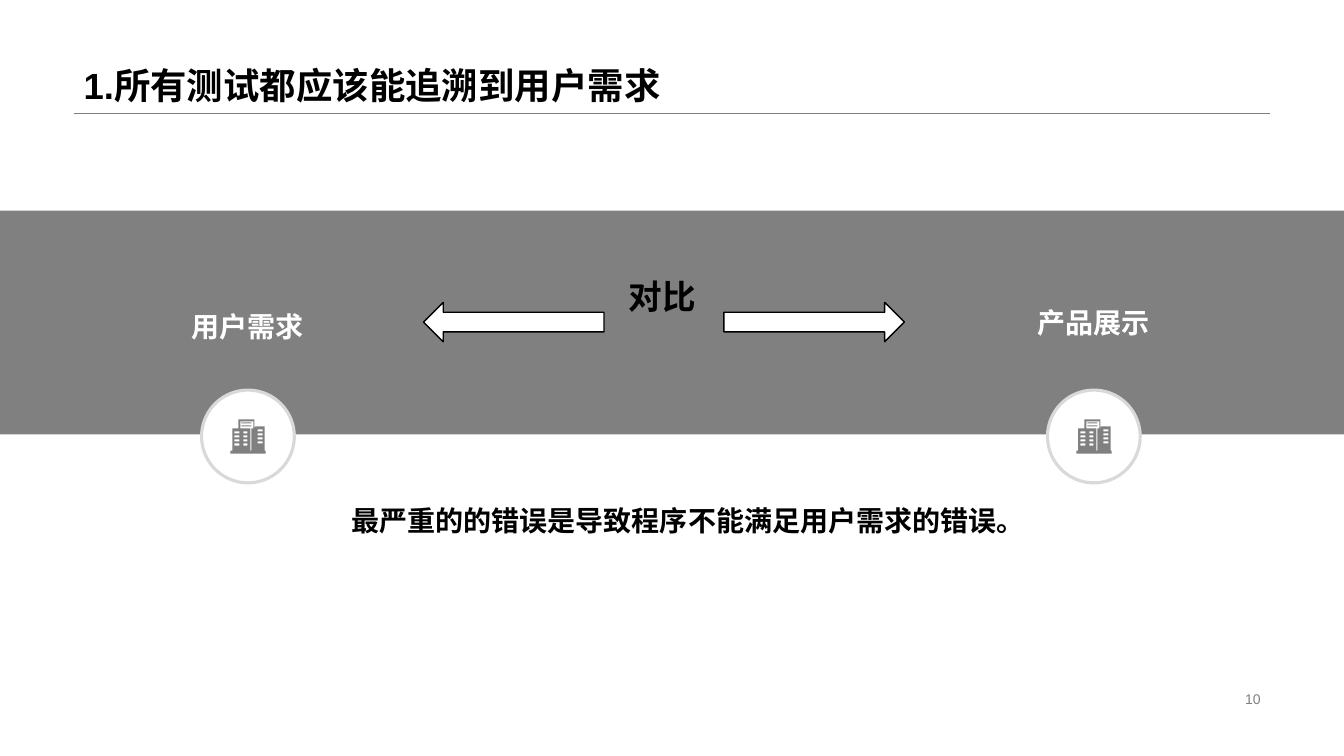
import pptx
import pptx.util
import pptx.dml.color
import pptx.enum.shapes
import pptx.enum.text
import pptx.oxml.ns
import lxml.etree

BLACK = pptx.dml.color.RGBColor(0x00, 0x00, 0x00)
WHITE = pptx.dml.color.RGBColor(0xFF, 0xFF, 0xFF)
GRAY = pptx.dml.color.RGBColor(0x80, 0x80, 0x80)
RING = pptx.dml.color.RGBColor(0xD9, 0xD9, 0xD9)

SHAPE = pptx.enum.shapes.MSO_SHAPE
ALIGN = pptx.enum.text.PP_ALIGN
ANCHOR = pptx.enum.text.MSO_ANCHOR

SLIDE_WIDTH = pptx.util.Inches(13.33)
SLIDE_HEIGHT = pptx.util.Inches(7.5)

# Building icon, in hundredths of an inch
ICON_UNIT = pptx.util.Inches(0.01)
ICON_WIDTH, ICON_HEIGHT = 35, 34
FACADE = [(8, 0), (24, 0), (24, 8), (25, 7), (34, 7), (34, 31), (35, 31),
          (35, 34), (0, 34), (0, 31), (2, 31), (2, 9), (8, 9)]
ROOF_SIGN = [(10, 2), (10, 9), (20, 9), (20, 31), (21, 31), (21, 9), (23, 9), (23, 2)]
SIGN_LINES = [(11, 3, 10, 1), (11, 6, 10, 1)]
WINDOWS = [(left, top + 4 * floor, width, 2)
           for left, top, width in ((4, 12, 5), (13, 12, 4), (27, 10, 5))
           for floor in range(4)]


def across(percent):
    return round(SLIDE_WIDTH * percent / 100)


def down(percent):
    return round(SLIDE_HEIGHT * percent / 100)


def place(left, top, width, height):
    """Turn percentages of the slide into a position and size."""
    return across(left), down(top), across(width), down(height)


def format_text(shape, text, size, color, bold=True, align=ALIGN.LEFT,
                anchor=ANCHOR.TOP, wrap=True):
    frame = shape.text_frame
    frame.text = text
    frame.word_wrap = wrap
    frame.auto_size = pptx.enum.text.MSO_AUTO_SIZE.NONE
    frame.vertical_anchor = anchor
    para = frame.paragraphs[0]
    para.alignment = align
    font = para.runs[0].font
    font.name = "Arial"
    font.size = pptx.util.Pt(size)
    font.bold = bold
    font.color.rgb = color


def add_title(page, text):
    title = page.shapes.title
    title.left, title.top, title.width, title.height = place(5.48, 0, 89.05, 14.93)
    format_text(title, text, 26, BLACK, anchor=ANCHOR.BOTTOM)
    title.text_frame.paragraphs[0].line_spacing = 0.9


def add_rule(page):
    rule = page.shapes.add_connector(
        pptx.enum.shapes.MSO_CONNECTOR.STRAIGHT,
        across(5.48), down(14.93), across(94.52), down(14.93))
    rule.line.color.rgb = GRAY
    rule.line.width = pptx.util.Pt(0.25)
    properties = rule._element.spPr
    lxml.etree.SubElement(properties, pptx.oxml.ns.qn("a:effectLst"))


def add_text(page, area, text, size, color, **style):
    box = page.shapes.add_textbox(*place(*area))
    format_text(box, text, size, color, **style)


def paint(shape, fill, line=None, width=1):
    shape.shadow.inherit = False
    shape.fill.solid()
    shape.fill.fore_color.rgb = fill
    if line is None:
        shape.line.fill.background()
    else:
        shape.line.color.rgb = line
        shape.line.width = pptx.util.Pt(width)


def add_figure(page, kind, area, fill, line=None, width=1):
    figure = page.shapes.add_shape(kind, *place(*area))
    paint(figure, fill, line, width)
    return figure


def rectangle(left, top, width, height):
    right, bottom = left + width, top + height
    return [(left, top), (left, bottom), (right, bottom), (right, top)]


def add_building_badge(page, left):
    """Add a ringed circle with a building icon at its centre."""
    badge = add_figure(page, SHAPE.OVAL, (left, 51.6, 6.9, 12.27), WHITE, RING, 2.25)
    openings = [rectangle(*opening) for opening in WINDOWS + SIGN_LINES]
    builder = page.shapes.build_freeform(*FACADE[0], scale=ICON_UNIT)
    builder.add_line_segments(FACADE[1:])
    for outline in [ROOF_SIGN] + openings:
        builder.move_to(*outline[0])
        builder.add_line_segments(outline[1:])
    icon = builder.convert_to_shape(
        badge.left + (badge.width - ICON_WIDTH * ICON_UNIT) // 2,
        badge.top + (badge.height - ICON_HEIGHT * ICON_UNIT) // 2)
    paint(icon, GRAY)


def add_arrow(page, left, rotation):
    arrow = add_figure(page, SHAPE.RIGHT_ARROW, (left, 40, 13.43, 5.2), WHITE, BLACK)
    arrow.rotation = rotation


def main():
    deck = pptx.Presentation()
    deck.slide_width, deck.slide_height = SLIDE_WIDTH, SLIDE_HEIGHT
    page = deck.slides.add_slide(deck.slide_layouts.get_by_name("Title Only"))

    add_rule(page)
    add_title(page, "1.所有测试都应该能追溯到用户需求")
    add_text(page, (70.67, 90.93, 23.86, 3.07), "10", 10, GRAY, bold=False,
             align=ALIGN.RIGHT, anchor=ANCHOR.MIDDLE)

    add_figure(page, SHAPE.RECTANGLE, (0, 27.87, 100, 29.6), GRAY)
    caption = {"align": ALIGN.CENTER, "anchor": ANCHOR.BOTTOM, "wrap": False}
    for label, left, top, badge_left in (("用户需求", 5.4, 39.2, 15),
                                         ("产品展示", 68.34, 38.67, 77.94)):
        add_building_badge(page, badge_left)
        add_text(page, (left, top, 26.03, 6.8), label, 20, WHITE, **caption)
    add_text(page, (22.96, 64.93, 56.49, 6.8),
             "最严重的的错误是导致程序不能满足用户需求的错误。", 20, BLACK, **caption)

    for left, rotation in ((53.86, 0), (31.51, 180)):
        add_arrow(page, left, rotation)
    add_text(page, (46.06, 35.87, 6.6, 6.67), "对比", 24, BLACK, wrap=False)

    deck.save("out.pptx")


if __name__ == "__main__":
    main()
